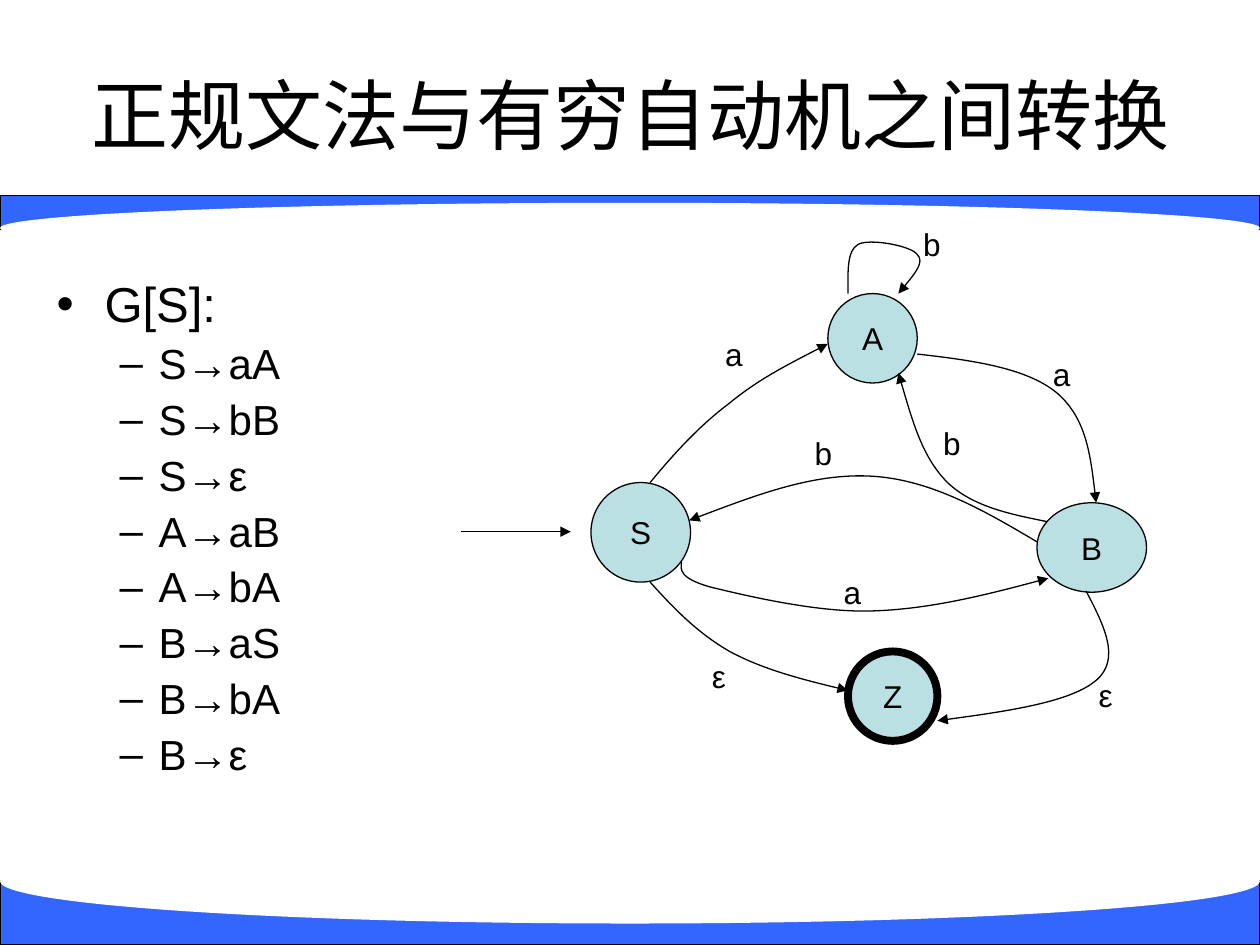
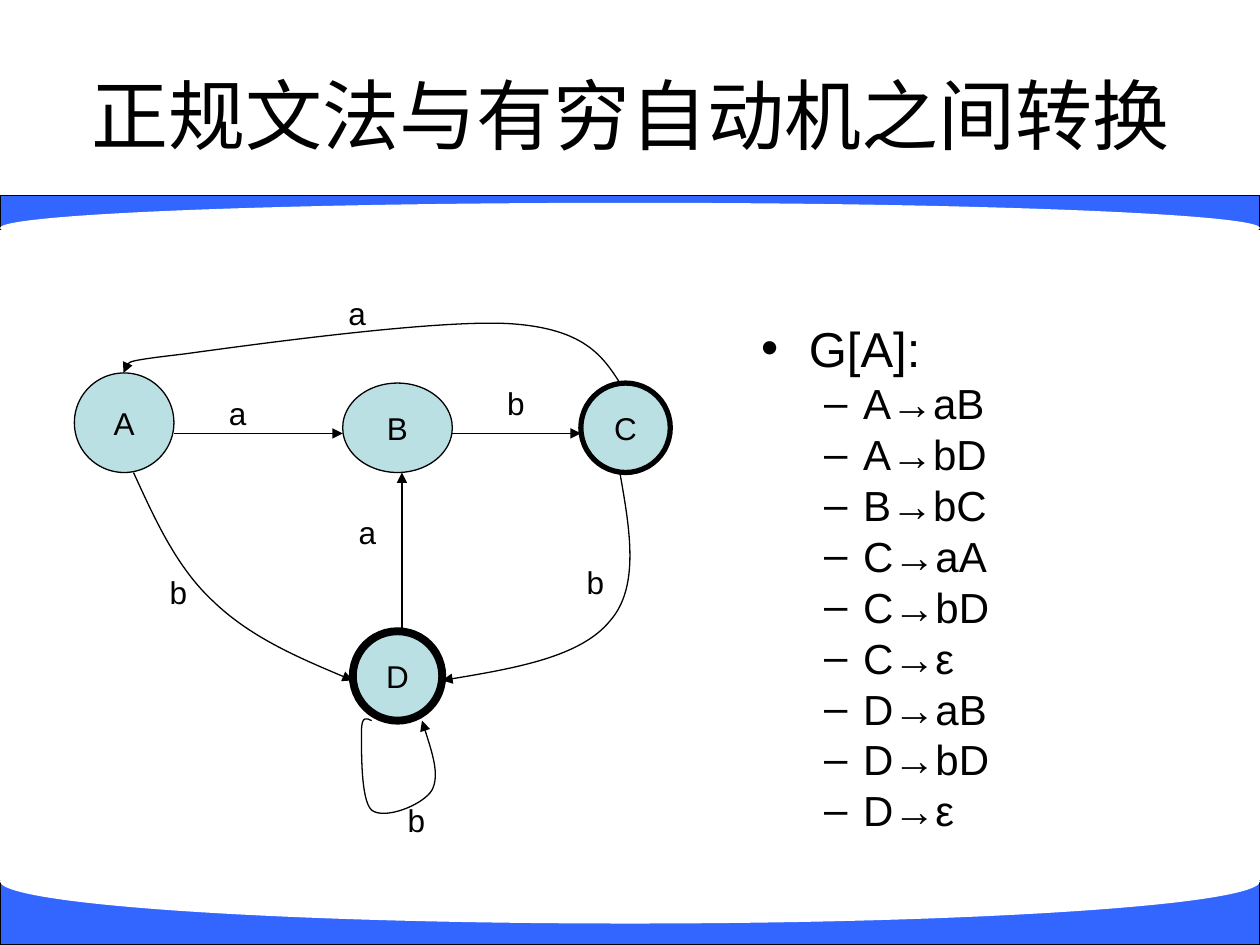
import pptx
import pptx.util
import pptx.dml.color
import pptx.enum.shapes
import pptx.enum.text
import pptx.oxml.ns
import lxml.etree

Inches = pptx.util.Inches
Pt = pptx.util.Pt
RGBColor = pptx.dml.color.RGBColor
Shape = pptx.enum.shapes.MSO_SHAPE
Align = pptx.enum.text.PP_ALIGN
qn = pptx.oxml.ns.qn

BLACK = RGBColor(0x00, 0x00, 0x00)
WHITE = RGBColor(0xFF, 0xFF, 0xFF)
BLUE = RGBColor(0x33, 0x66, 0xFF)
TEAL = RGBColor(0xBB, 0xE0, 0xE3)
TITLE = "正规文法与有穷自动机之间转换"
BANDS = [
    (Shape.RECTANGLE, (0, 1.55, 10, 0.27), BLUE, 0.75),
    (Shape.OVAL, (0, 1.61, 10, 0.4), WHITE, 0),
    (Shape.RECTANGLE, (0, 6.99, 10, 0.51), BLUE, 0.75),
    (Shape.OVAL, (0, 6.66, 10, 0.67), WHITE, 0),
]


class Deck:
    font = "Arial"
    thin = 0.75

    def __init__(self):
        self.prs = pptx.Presentation()
        self.prs.slide_width = Inches(10)
        self.prs.slide_height = Inches(7.5)
        self.slide = None

    def start(self):
        self.slide = self.prs.slides.add_slide(self.prs.slide_layouts[1])

    def bands(self):
        tree = self.prs.slide_master.shapes.element
        for i, (kind, box, fill, width) in enumerate(BANDS):
            band = self.shape(kind, box, fill, width).element
            band.nvSpPr.cNvPr.set("id", str(100 + i))
            tree.insert(2 + i, band)

    def place(self, item, box):
        item.left, item.top, item.width, item.height = map(Inches, box)

    def add_text(self, para, text, size):
        run = para.add_run()
        run.text = text
        run.font.name = self.font
        run.font.size = Pt(size)
        run.font.color.rgb = BLACK

    def title(self, text):
        title = self.slide.shapes.title
        self.place(title, (0.51, 0.28, 9, 1.25))
        frame = title.text_frame
        frame.auto_size = pptx.enum.text.MSO_AUTO_SIZE.NONE
        frame.vertical_anchor = pptx.enum.text.MSO_ANCHOR.MIDDLE
        frame.paragraphs[0].alignment = Align.CENTER
        self.add_text(frame.paragraphs[0], text, 44)

    def rules(self, box, head, rules, space):
        body = self.slide.placeholders[1]
        self.place(body, box)
        frame = body.text_frame
        frame.auto_size = pptx.enum.text.MSO_AUTO_SIZE.NONE
        for i, text in enumerate([head] + rules.split()):
            para = frame.add_paragraph() if i else frame.paragraphs[0]
            para.level = 1 if i else 0
            para.line_spacing = space
            para.space_before = Pt(6 if i else 0)
            left, hang = (0.81, -0.31) if i else (0.38, -0.38)
            props = para._p.get_or_add_pPr()
            props.set("marL", str(Inches(left)))
            props.set("indent", str(Inches(hang)))
            self.add_text(para, text, 24 if i else 28)

    def shape(self, kind, box, fill, width):
        shape = self.slide.shapes.add_shape(kind, *map(Inches, box))
        shape.shadow.inherit = False
        shape.fill.solid()
        shape.fill.fore_color.rgb = fill
        if width:
            self.stroke(shape, width)
        else:
            shape.line.fill.background()
        return shape

    def stroke(self, item, width):
        item.line.color.rgb = BLACK
        item.line.width = Pt(width)

    def centre(self, item, text):
        frame = item.text_frame
        frame.word_wrap = False
        frame.vertical_anchor = pptx.enum.text.MSO_ANCHOR.MIDDLE
        frame.paragraphs[0].alignment = Align.CENTER
        self.add_text(frame.paragraphs[0], text, 18)

    def state(self, text, left, top, wide=0.71, high=0.71, width=thin):
        oval = self.shape(Shape.OVAL, (left, top, wide, high), TEAL, width)
        self.centre(oval, text)

    def label(self, text, left, top):
        size = (0.47, 0.39) if text == "ε" else (0.39, 0.31)
        box = self.slide.shapes.add_textbox(*map(Inches, (left, top) + size))
        self.centre(box, text)

    def tip(self, item):
        self.stroke(item, self.thin)
        line = item.element.spPr.find(qn("a:ln"))
        lxml.etree.SubElement(line, qn("a:tailEnd"), type="triangle")

    def arrow(self, *ends):
        line = self.slide.shapes.add_connector(
            pptx.enum.shapes.MSO_CONNECTOR.STRAIGHT, *map(Inches, ends))
        self.tip(line)
        lxml.etree.SubElement(line.element.spPr, qn("a:effectLst"))

    def curve(self, *points):
        points = [(Inches(x), Inches(y)) for x, y in points]
        form = self.slide.shapes.build_freeform(*points[0])
        form.add_line_segments(points[1:], close=False)
        shape = form.convert_to_shape()
        shape.shadow.inherit = False
        shape.fill.background()
        self.tip(shape)
        route = next(shape.element.iter(qn("a:path")))
        legs = route.findall(qn("a:lnTo"))
        for i in range(0, len(legs), 3):
            bend = lxml.etree.SubElement(route, qn("a:cubicBezTo"))
            for leg in legs[i:i + 3]:
                bend.append(leg[0])
                route.remove(leg)


def to_graph(deck):
    deck.start()
    deck.bands()
    deck.title(TITLE)
    deck.rules((0.35, 2.17, 4.27, 4.25), "G[S]:",
               "S→aA S→bB S→ε A→aB A→bA B→aS B→bA B→ε", 0.9)
    deck.state("S", 4.69, 3.83, 0.79, 0.79)
    deck.state("A", 6.57, 2.33)
    deck.state("Z", 6.73, 5.17, width=4.5)
    deck.state("B", 8.23, 3.99, 0.87)
    deck.arrow(3.66, 4.22, 4.53, 4.22)
    for points in [
        [(5.16, 3.83), (5.35, 3.6), (5.55, 3.38), (5.79, 3.2),
         (6.02, 3.01), (6.3, 2.87), (6.57, 2.73)],
        [(5.16, 4.62), (5.34, 4.82), (5.53, 5.02), (5.79, 5.17),
         (6.05, 5.31), (6.39, 5.4), (6.73, 5.48)],
        [(7.28, 2.81), (7.72, 2.86), (8.15, 2.92), (8.39, 3.12),
         (8.62, 3.32), (8.66, 3.65), (8.7, 3.99)],
        [(8.62, 4.69), (8.76, 4.96), (8.9, 5.23), (8.7, 5.4),
         (8.5, 5.57), (7.97, 5.65), (7.44, 5.72)],
        [(6.73, 2.33), (6.73, 2.16), (6.72, 1.99), (6.81, 1.94),
         (6.9, 1.89), (7.23, 1.95), (7.28, 2.02),
         (7.34, 2.08), (7.23, 2.21), (7.13, 2.33)],
        [(8.31, 4.14), (8.01, 4.08), (7.72, 4.02), (7.52, 3.83),
         (7.32, 3.63), (7.23, 3.3), (7.13, 2.96)],
        [(5.41, 4.46), (5.4, 4.52), (5.39, 4.59), (5.64, 4.66),
         (5.89, 4.72), (6.46, 4.86), (6.9, 4.85),
         (7.35, 4.84), (7.84, 4.72), (8.32, 4.59)],
        [(8.23, 4.3), (7.81, 4.05), (7.39, 3.81), (6.93, 3.78),
         (6.47, 3.75), (5.97, 3.94), (5.47, 4.13)],
    ]:
        deck.curve(*points)
    for text, left, top in [
        ("a", 5.63, 2.65), ("b", 7.2, 1.78), ("a", 8.23, 2.81),
        ("b", 7.36, 3.36), ("a", 6.57, 4.54), ("b", 6.34, 3.44),
        ("ε", 5.47, 5.17), ("ε", 8.54, 5.32),
    ]:
        deck.label(text, left, top)


def to_rules(deck):
    deck.start()
    deck.title(TITLE)
    deck.rules((5.94, 2.57, 3.07, 4.25), "G[A]:",
               "A→aB A→bD B→bC C→aA C→bD C→ε D→aB D→bD D→ε", 0.8)
    deck.state("A", 0.59, 2.96, 0.79, 0.79)
    deck.state("C", 4.61, 3.04, width=3)
    deck.state("D", 2.8, 5.01, width=4.5)
    deck.state("B", 2.72, 3.04, 0.87)
    for text, left, top in [
        ("a", 2.64, 2.33), ("b", 3.9, 3.04), ("a", 1.69, 3.12),
        ("b", 1.22, 4.54), ("a", 2.72, 4.07), ("b", 3.11, 6.35),
        ("b", 4.53, 4.46),
    ]:
        deck.label(text, left, top)
    deck.arrow(1.38, 3.44, 2.72, 3.44)
    deck.arrow(3.58, 3.44, 4.61, 3.44)
    deck.arrow(3.19, 5.01, 3.19, 3.75)
    for points in [
        [(2.95, 5.72), (2.91, 5.7), (2.87, 5.68), (2.87, 5.8),
         (2.87, 5.92), (2.86, 6.35), (2.95, 6.43),
         (3.05, 6.51), (3.36, 6.39), (3.43, 6.27),
         (3.49, 6.15), (3.42, 5.94), (3.35, 5.72)],
        [(1.06, 3.75), (1.23, 4.12), (1.4, 4.5), (1.69, 4.77),
         (1.98, 5.05), (2.39, 5.23), (2.8, 5.4)],
        [(4.92, 3.75), (5, 4.2), (5.08, 4.66), (4.84, 4.93),
         (4.61, 5.21), (4.06, 5.31), (3.51, 5.4)],
        [(4.92, 3.04), (4.78, 2.82), (4.63, 2.61), (4.06, 2.57),
         (3.48, 2.53), (1.97, 2.74), (1.46, 2.81),
         (0.94, 2.87), (0.96, 2.92), (0.98, 2.96)],
    ]:
        deck.curve(*points)


def main():
    deck = Deck()
    to_graph(deck)
    to_rules(deck)
    deck.prs.save("out.pptx")


if __name__ == "__main__":
    main()
